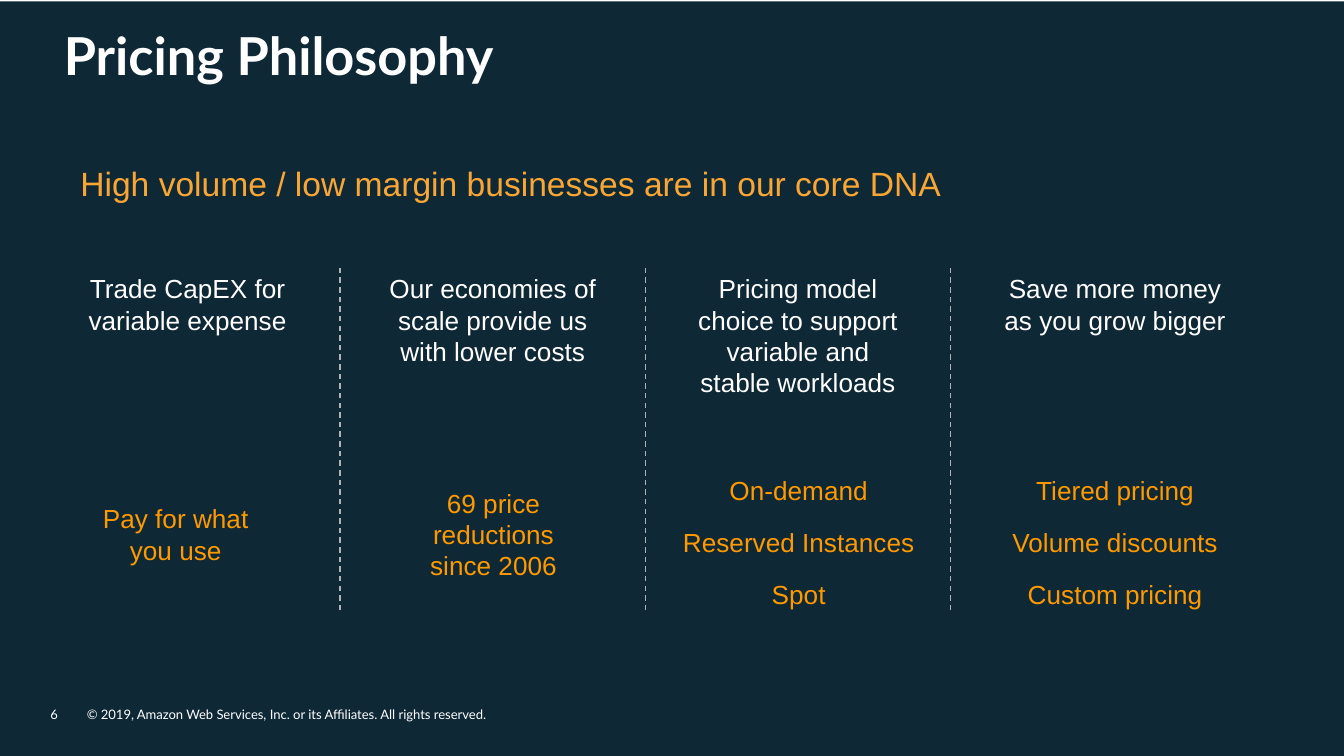
from dataclasses import dataclass

from lxml import etree
from pptx import Presentation
from pptx.dml.color import RGBColor
from pptx.enum.dml import MSO_LINE
from pptx.enum.shapes import MSO_CONNECTOR, MSO_SHAPE
from pptx.enum.text import MSO_ANCHOR, MSO_AUTO_SIZE, PP_ALIGN
from pptx.oxml.ns import qn
from pptx.shapes.base import BaseShape
from pptx.slide import Slide
from pptx.util import Pt

EMU_PER_PX = 9525
SLIDE_WIDTH, SLIDE_HEIGHT = 960, 540
TWO_CONTENT_LAYOUT = 3
LEFT, CENTER = PP_ALIGN.LEFT, PP_ALIGN.CENTER
TOP, MIDDLE = MSO_ANCHOR.TOP, MSO_ANCHOR.MIDDLE
NO_AUTOFIT = MSO_AUTO_SIZE.NONE
RECTANGLE = MSO_SHAPE.RECTANGLE
STRAIGHT = MSO_CONNECTOR.STRAIGHT
DASH = MSO_LINE.DASH


@dataclass(frozen=True)
class Theme:
    navy: str = "0E2836"
    white: str = "FFFFFF"
    amber: str = "FAA634"
    orange: str = "FF9900"
    gray: str = "B1B3B6"
    title_font: str = "Lato"
    body_font: str = "Arial"
    title_size: int = 28
    subtitle_size: int = 18
    body_size: int = 14
    footer_size: int = 7


THEME = Theme()


@dataclass(frozen=True)
class Box:
    left: int
    top: int
    width: int
    height: int


@dataclass(frozen=True)
class TextStyle:
    font: str
    size: int
    color: str
    bold: bool = False
    align: PP_ALIGN = LEFT
    anchor: MSO_ANCHOR = TOP
    margins: bool = True
    line_spacing: float = 1.0
    space_between: float = 0


@dataclass(frozen=True)
class Column:
    heading: str
    heading_width: int
    offers: tuple[str, ...]
    offers_left: int
    offers_width: int


TITLE = TextStyle(THEME.title_font, THEME.title_size, THEME.white, bold=True)
SUBTITLE = TextStyle(THEME.body_font, THEME.subtitle_size, THEME.amber)
HEADING = TextStyle(THEME.body_font, THEME.body_size, THEME.white, align=CENTER)
OFFER = TextStyle(THEME.body_font, THEME.body_size, THEME.orange, align=CENTER, anchor=MIDDLE)
OFFER_LIST = TextStyle(THEME.body_font, THEME.body_size, THEME.orange, align=CENTER,
                       anchor=MIDDLE, line_spacing=1.5, space_between=2.8)
FOOTER = TextStyle(THEME.title_font, THEME.footer_size, THEME.white, margins=False)

COLUMN_LEFT, COLUMN_PITCH = 48, 218
COLUMN_TOP, COLUMN_BOTTOM, HEADING_HEIGHT = 190, 436, 82
OFFERS_TOP, OFFERS_HEIGHT = 321, 121
FIRST_DIVIDER = 243
COLUMNS = (
    Column("Trade CapEX for variable expense", 172, ("Pay for what you use",), 63, 125),
    Column("Our economies of scale provide us with lower costs", 172,
           ("69 price reductions since 2006",), 290, 125),
    Column("Pricing model choice to support variable and stable workloads", 172,
           ("On-demand", "Reserved Instances", "Spot"), 476, 189),
    Column("Save more money as you grow bigger", 189,
           ("Tiered pricing", "Volume discounts", "Custom pricing"), 702, 189),
)


def px(length: int) -> int:
    return length * EMU_PER_PX


def place(shape: BaseShape, box: Box) -> None:
    shape.left, shape.top = px(box.left), px(box.top)
    shape.width, shape.height = px(box.width), px(box.height)


def write(shape: BaseShape, lines: tuple[str, ...], style: TextStyle) -> None:
    frame = shape.text_frame
    frame.word_wrap = True
    frame.auto_size = NO_AUTOFIT
    frame.vertical_anchor = style.anchor
    if not style.margins:
        frame.margin_left = frame.margin_right = frame.margin_top = frame.margin_bottom = 0
    for index, line in enumerate(lines):
        paragraph = frame.add_paragraph() if index else frame.paragraphs[0]
        if shape.is_placeholder:
            remove_bullet(paragraph)
        paragraph.alignment = style.align
        paragraph.line_spacing = style.line_spacing
        paragraph.space_before = Pt(style.space_between if index else 0)
        run = paragraph.add_run()
        run.text = line
        run.font.name = style.font
        run.font.size = Pt(style.size)
        run.font.bold = style.bold
        run.font.color.rgb = RGBColor.from_string(style.color)


def remove_bullet(paragraph) -> None:
    properties = paragraph._p.get_or_add_pPr()
    properties.set("marL", "0")
    properties.set("indent", "0")
    etree.SubElement(properties, qn("a:buNone"))


def add_text(slide: Slide, box: Box, text: str, style: TextStyle) -> None:
    shape = slide.shapes.add_textbox(0, 0, 0, 0)
    place(shape, box)
    write(shape, (text,), style)


def fill_placeholder(shape: BaseShape, box: Box, lines: tuple[str, ...], style: TextStyle) -> None:
    place(shape, box)
    write(shape, lines, style)


def add_backdrop(slide: Slide) -> None:
    """Lay the navy panel behind the placeholders, leaving a white hairline on top."""
    panel = slide.shapes.add_shape(RECTANGLE, 0, px(1), px(SLIDE_WIDTH), px(SLIDE_HEIGHT - 1))
    panel.shadow.inherit = False
    panel.fill.solid()
    panel.fill.fore_color.rgb = RGBColor.from_string(THEME.navy)
    panel.line.fill.background()
    slide.shapes._spTree.insert(2, panel._element)


def add_divider(slide: Slide, left: int) -> None:
    divider = slide.shapes.add_connector(STRAIGHT, px(left), px(COLUMN_BOTTOM),
                                         px(left), px(COLUMN_TOP))
    divider.line.color.rgb = RGBColor.from_string(THEME.gray)
    divider.line.width = Pt(0.75)
    divider.line.dash_style = DASH
    etree.SubElement(divider._element.spPr, qn("a:effectLst"))


def main() -> None:
    presentation = Presentation()
    presentation.slide_width, presentation.slide_height = px(SLIDE_WIDTH), px(SLIDE_HEIGHT)
    slide = presentation.slides.add_slide(presentation.slide_layouts[TWO_CONTENT_LAYOUT])
    title, *bodies = slide.placeholders
    list_bodies = iter(bodies)

    add_backdrop(slide)
    add_text(slide, Box(62, 505, 313, 12),
             "© 2019, Amazon Web Services, Inc. or its Affiliates. All rights reserved.", FOOTER)
    add_text(slide, Box(36, 505, 27, 12), "6", FOOTER)
    fill_placeholder(title, Box(36, 12, 861, 58), ("Pricing Philosophy",), TITLE)
    add_text(slide, Box(48, 112, 769, 38),
             "High volume / low margin businesses are in our core DNA", SUBTITLE)

    for index, column in enumerate(COLUMNS):
        offset = index * COLUMN_PITCH
        add_text(slide, Box(COLUMN_LEFT + offset, COLUMN_TOP, column.heading_width,
                            HEADING_HEIGHT), column.heading, HEADING)
        offers_box = Box(column.offers_left, OFFERS_TOP, column.offers_width, OFFERS_HEIGHT)
        if len(column.offers) > 1:
            fill_placeholder(next(list_bodies), offers_box, column.offers, OFFER_LIST)
        else:
            add_text(slide, offers_box, column.offers[0], OFFER)
        if index < len(COLUMNS) - 1:
            add_divider(slide, FIRST_DIVIDER + offset)

    presentation.save("out.pptx")


if __name__ == "__main__":
    main()
